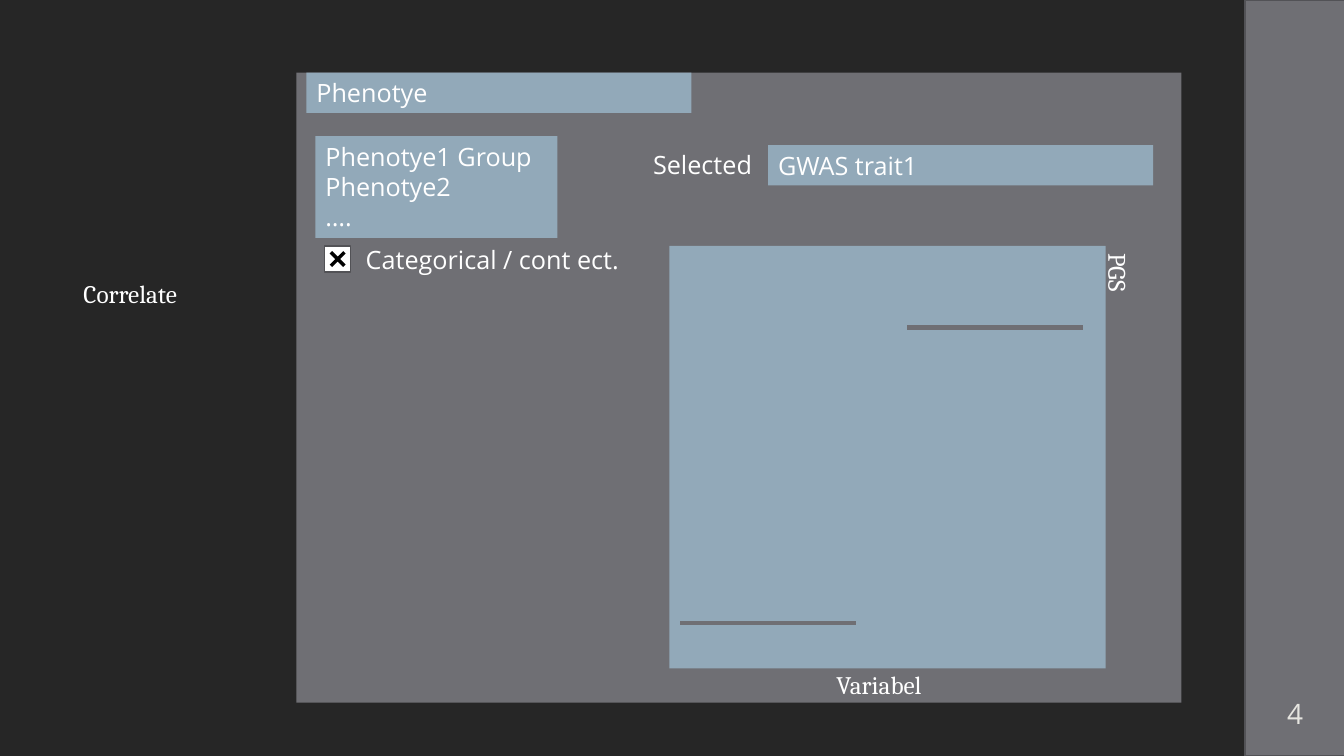
from dataclasses import dataclass

from lxml.etree import SubElement
from pptx import Presentation
from pptx.dml.color import RGBColor
from pptx.enum.shapes import MSO_CONNECTOR, MSO_SHAPE
from pptx.enum.text import MSO_ANCHOR, PP_ALIGN
from pptx.oxml.ns import qn
from pptx.util import Inches, Pt

GRID = 0.1  # inches per column and per row


@dataclass(frozen=True)
class Theme:
    backdrop: str = "262626"
    panel: str = "6F6F74"
    field: str = "92A9B9"
    outline: str = "525256"
    white: str = "FFFFFF"
    black: str = "000000"
    page_number: str = "E6E5E0"
    sans: str = "Open Sans"
    serif: str = "Cambria"
    body_size: float = 18
    number_size: float = 20
    outline_width: float = 1.1
    level_width: float = 3


THEME = Theme()


@dataclass(frozen=True)
class Box:
    """An area in grid columns and rows."""
    col: float
    row: float
    cols: float
    rows: float

    def inner(self, col, row, cols, rows):
        return Box(self.col + col, self.row + row, cols, rows)

    def lengths(self):
        return [Inches(n * GRID) for n in (self.col, self.row, self.cols, self.rows)]


def rgb(color):
    return RGBColor.from_string(color)


def write(shape, text, font=THEME.sans, size=THEME.body_size,
          color=THEME.white, align=PP_ALIGN.LEFT):
    frame = shape.text_frame
    frame.text = text
    for paragraph in frame.paragraphs:
        paragraph.alignment = align
        for run in paragraph.runs:
            run.font.name = font
            run.font.size = Pt(size)
            run.font.color.rgb = rgb(color)


def add_block(slide, box, fill, outline=None, kind=MSO_SHAPE.RECTANGLE):
    block = slide.shapes.add_shape(kind, *box.lengths())
    block.shadow.inherit = False
    block.fill.solid()
    block.fill.fore_color.rgb = rgb(fill)
    if outline:
        block.line.color.rgb = rgb(outline)
        block.line.width = Pt(THEME.outline_width)
    else:
        block.line.fill.background()
    return block


def add_field(slide, box, text):
    field = add_block(slide, box, THEME.field)
    field.text_frame.vertical_anchor = MSO_ANCHOR.TOP
    write(field, text)


def add_label(slide, box, text, wrap=True, **style):
    label = slide.shapes.add_textbox(*box.lengths())
    label.text_frame.word_wrap = wrap
    write(label, text, **style)
    return label


def add_level(slide, box):
    left, top, width, _ = box.lengths()
    level = slide.shapes.add_connector(
        MSO_CONNECTOR.STRAIGHT, left, top, left + width, top)
    level.line.color.rgb = rgb(THEME.panel)
    level.line.width = Pt(THEME.level_width)
    SubElement(level._element.spPr, qn("a:effectLst"))


def place_sidebar(slide, box, number):
    add_block(slide, box, THEME.panel, THEME.outline)
    page = add_label(slide, box.inner(0, 67.5, box.cols, 6.5), number,
                     size=THEME.number_size, color=THEME.page_number,
                     align=PP_ALIGN.CENTER)
    page.text_frame.vertical_anchor = MSO_ANCHOR.MIDDLE


def place_checkbox(slide, box, text):
    square = box.inner(0, 0, 2.6, 2.6)
    add_block(slide, square, THEME.white, THEME.outline)
    cross = add_block(slide, square, THEME.black, kind=MSO_SHAPE.MATH_MULTIPLY)
    cross.adjustments[0] = 0.13
    add_label(slide, box.inner(3.1, -0.7, box.cols, 4), text)


def place_plot(slide, box):
    add_block(slide, box, THEME.field)
    for col, row in ((1.1, 37.4), (23.6, 8.1)):
        add_level(slide, box.inner(col, row, 17.4, 0))
    # Axis names
    score = add_label(slide, box.inner(38, 4.3, 13.1, 4), "PGS", font=THEME.serif)
    score.rotation = 90
    add_label(slide, box.inner(15.6, 41.5, 13.1, 4), "Variabel", font=THEME.serif)


def place_panel(slide, box):
    add_block(slide, box, THEME.panel)
    # Phenotype choice
    add_field(slide, box.inner(1, 0, 38.2, 4), "Phenotye")
    add_field(slide, box.inner(1.9, 6.3, 24, 10.1),
              "Phenotye1 Group\nPhenotye2\n….")
    place_checkbox(slide, box.inner(2.8, 17.2, 66.8, 2.6), "Categorical / cont ect.")
    # Selected trait
    add_field(slide, box.inner(46.8, 7.2, 38.2, 4), "GWAS trait1")
    add_label(slide, box.inner(34.4, 7.1, 66.8, 4), "Selected")
    place_plot(slide, box.inner(37, 17.2, 43.3, 41.9))


def build_correlate_slide(deck, box):
    slide = deck.slides.add_slide(deck.slide_layouts[6])
    slide.background.fill.solid()
    slide.background.fill.fore_color.rgb = rgb(THEME.backdrop)
    place_sidebar(slide, box.inner(123.5, 0, 10, box.rows), "4")
    place_panel(slide, box.inner(29.4, 7.2, 87.8, 62.5))
    add_label(slide, box.inner(7.3, 27.1, 13, 4), "Correlate",
              wrap=False, font=THEME.serif)


deck = Presentation()
page_box = Box(0, 0, 133.33, 75)
_, _, deck.slide_width, deck.slide_height = page_box.lengths()
build_correlate_slide(deck, page_box)
deck.save("out.pptx")
